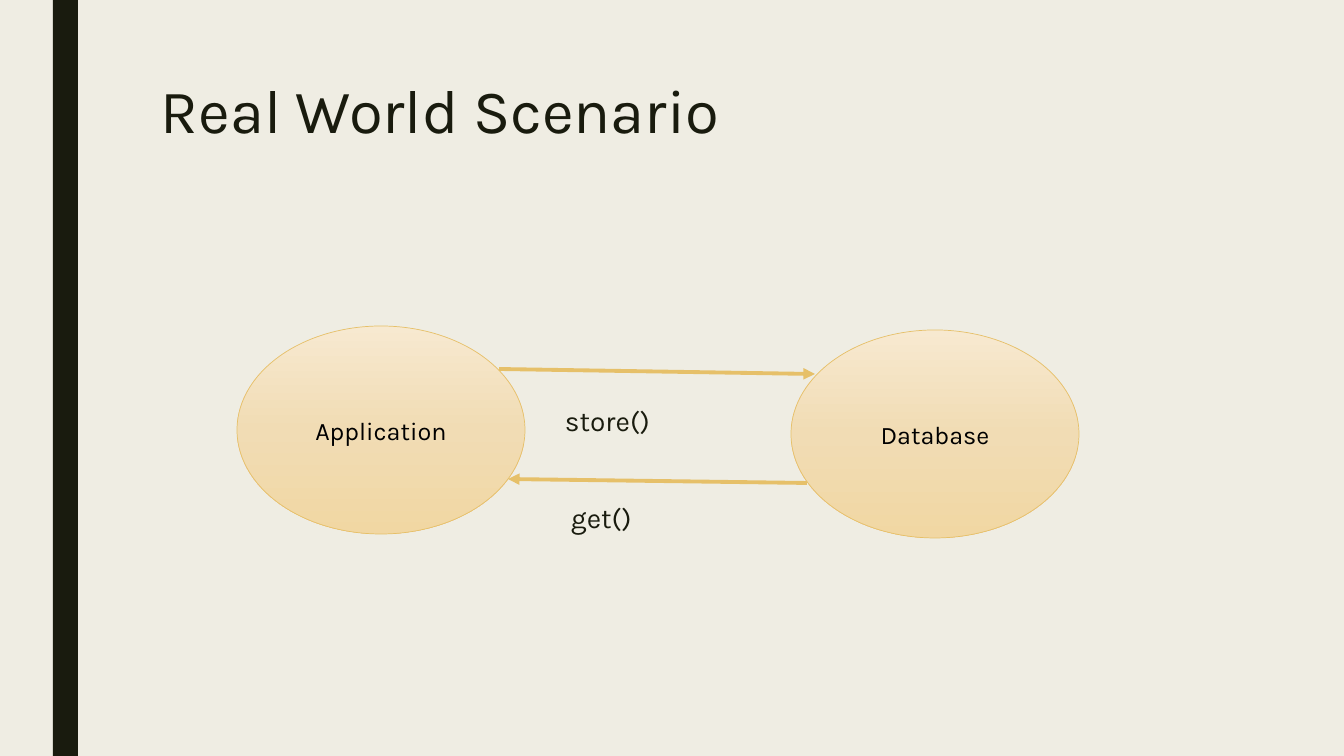
from copy import deepcopy
from dataclasses import dataclass

from pptx import Presentation
from pptx.dml.color import RGBColor
from pptx.enum.shapes import MSO_CONNECTOR, MSO_SHAPE
from pptx.enum.text import MSO_ANCHOR, PP_ALIGN
from pptx.oxml.ns import qn
from pptx.util import Pt
from lxml.etree import SubElement


@dataclass(frozen=True)
class Theme:
    font: str = "Karla"
    paper: str = "EFEDE3"
    ink: str = "191B0E"
    node_text: str = "000000"
    gold: str = "E6C069"
    node_stops: tuple = ((0, "F7E9D0"), (0.5, "F1DCB4"), (1, "F1D7A3"))
    title_size: int = 44
    label_size: int = 20
    node_size: int = 18
    outline: float = 0.5
    arrow: float = 2.75


THEME = Theme()
SCALE = 914400 / 100.8


def px(*values):
    return [round(v * SCALE) for v in values]


def rgb(code):
    return RGBColor.from_string(code)


def set_attrs(target, formats):
    for name, value in formats.items():
        setattr(target, name, value)


def write(tf, text, size, color, frame=None, paragraph=None):
    set_attrs(tf, {"word_wrap": True, **(frame or {})})
    p = tf.paragraphs[0]
    set_attrs(p, paragraph or {})
    r = p.add_run()
    r.text = text
    set_attrs(r.font, {"name": THEME.font, "size": Pt(size)})
    r.font.color.rgb = rgb(color)


def add_label(s, box, text):
    margins = dict.fromkeys(
        ("margin_left", "margin_top", "margin_right", "margin_bottom"), 0)
    tf = s.shapes.add_textbox(*px(*box)).text_frame
    write(tf, text, THEME.label_size, THEME.ink, margins)


def add_node(s, box, text):
    sp = s.shapes.add_shape(MSO_SHAPE.OVAL, *px(*box))
    sp.shadow.inherit = False
    # Vertical three-stop gradient
    sp.fill.gradient()
    sp.fill.gradient_angle = 270
    stops = sp.fill._fill._gradFill.gsLst
    stops.insert(1, deepcopy(stops[0]))
    for stop, (position, color) in zip(sp.fill.gradient_stops, THEME.node_stops):
        stop.position = position
        stop.color.rgb = rgb(color)
    sp.line.color.rgb = rgb(THEME.gold)
    sp.line.width = Pt(THEME.outline)
    write(sp.text_frame, text, THEME.node_size, THEME.node_text,
          {"vertical_anchor": MSO_ANCHOR.MIDDLE}, {"alignment": PP_ALIGN.CENTER})


def add_arrow(s, start, end):
    line = s.shapes.add_connector(MSO_CONNECTOR.STRAIGHT, *px(*start, *end))
    line.line.color.rgb = rgb(THEME.gold)
    line.line.width = Pt(THEME.arrow)
    SubElement(line.line._get_or_add_ln(), qn("a:tailEnd"), type="triangle")
    SubElement(line._element.spPr, qn("a:effectLst"))


def draw_side_bar(s, box):
    bar = s.shapes.add_shape(MSO_SHAPE.RECTANGLE, *px(*box))
    bar.shadow.inherit = False
    bar.fill.solid()
    bar.fill.fore_color.rgb = rgb(THEME.ink)
    bar.line.fill.background()


def draw_title(s, box, text):
    tf = s.shapes.add_textbox(*px(*box)).text_frame
    write(tf, text, THEME.title_size, THEME.ink,
          paragraph={"line_spacing": 0.89})


def draw_exchange(s, box):
    x, y, w, h = box
    node_w, node_h = 288, 208
    # Application and database
    add_node(s, (x, y, node_w, node_h), "Application")
    add_node(s, (x + w - node_w, y + h - node_h, node_w, node_h), "Database")
    # Calls in both directions
    calls = (
        ("store()", (328, 78), (262, 43), (578, 48)),
        ("get()", (334, 175), (570, 157), (271, 153)),
    )
    for text, label, start, end in calls:
        add_arrow(s, (x + start[0], y + start[1]), (x + end[0], y + end[1]))
        add_label(s, (x + label[0], y + label[1], 140, 33), text)


prs = Presentation()
prs.slide_width, prs.slide_height = px(1344, 756)
s = prs.slides.add_slide(prs.slide_layouts[6])
s.background.fill.solid()
s.background.fill.fore_color.rgb = rgb(THEME.paper)

draw_side_bar(s, (53, 0, 25, 756))
draw_title(s, (151, 76, 1058, 163), "Real World Scenario")
draw_exchange(s, (237, 326, 842, 212))

prs.save("out.pptx")
